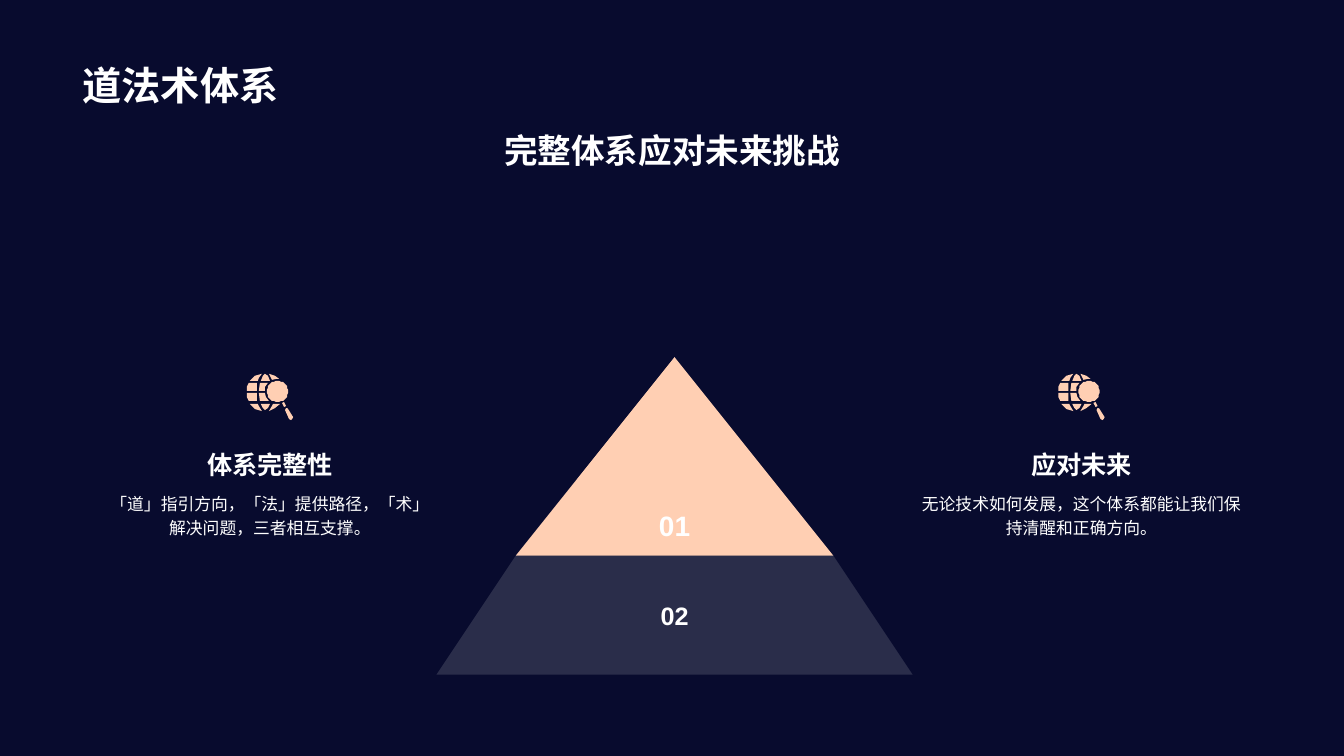
import math

from pptx import Presentation
from pptx import util as u
from pptx.dml.color import RGBColor
from pptx.enum import text as t
from pptx.oxml.ns import qn
from lxml import etree

NAVY = RGBColor(0x08, 0x0B, 0x2E)
PEACH = RGBColor(0xFF, 0xCF, 0xB3)
MIST = RGBColor(0xF0, 0xF0, 0xF0)
WHITE = RGBColor(0xFF, 0xFF, 0xFF)
FONT = "Arial"

UNIT = u.Cm(0.0254)  # grid step of the globe icon
LENS = [(30.5 + 10.5 * math.cos(math.radians(a)),
         17.5 + 10.5 * math.sin(math.radians(a))) for a in range(0, 360, 10)]
GLOBE = [
    [(18.5, 0), (21, 2), (23, 7), (14, 7), (16, 2)],
    [(22, 0), (28, 2), (32, 5), (30, 5), (25, 6), (24.5, 4)],
    [(15, 0), (12, 4), (11, 7), (3, 7), (8, 2.5)],
    [(13, 9), (21, 9), (18.5, 13), (18, 17), (12, 17)],
    [(2, 9), (10, 9), (10, 17), (0, 17), (0.5, 13)],
    [(12, 19), (18, 19), (19, 23), (22, 27), (13, 27)],
    [(0, 19), (10, 19), (10.5, 27), (2, 27), (0.5, 23)],
    [(26, 30), (33, 30), (28, 34.5), (22, 37), (25, 32)],
    [(14, 30), (23, 30), (21, 34.5), (18.5, 36.5), (16, 34.5)],
    [(3, 30), (11, 30), (12, 32), (15, 37), (8, 35)],
]
COLLAR = [(37, 28), (39, 32), (37, 33), (35, 29)]
GRIP = [(39, 34), (40, 34), (41, 35), (45.5, 43), (45, 45), (44, 45.5),
        (42, 45), (38, 36)]
ICON = GLOBE + [LENS, COLLAR, GRIP]

CARDS = [
    (2.36, "体系完整性", "「道」指引方向，「法」提供路径，「术」解决问题，三者相互支撑。"),
    (22.81, "应对未来", "无论技术如何发展，这个体系都能让我们保持清醒和正确方向。"),
]


def write(shape, words, size=18, bold=True, align=t.PP_ALIGN.CENTER,
          anchor=t.MSO_ANCHOR.TOP, space=1.0, foot=0.13):
    """Fill a shape with one formatted paragraph; foot is the bottom inset in cm."""
    frame = shape.text_frame
    frame.word_wrap = True
    frame.auto_size = t.MSO_AUTO_SIZE.NONE
    frame.vertical_anchor = anchor
    frame.margin_bottom = u.Cm(foot)
    para = frame.paragraphs[0]
    para.alignment = align
    para.line_spacing = space
    run = para.add_run()
    run.text = words
    font = run.font
    font.name, font.size, font.bold = FONT, u.Pt(size), bold
    font.color.rgb = WHITE


class Deck:
    def __init__(self):
        self.prs = Presentation()
        self.prs.slide_width, self.prs.slide_height = u.Cm(33.87), u.Cm(19.05)
        self.slide = self.prs.slides.add_slide(self.prs.slide_layouts[5])
        fill = self.slide.background.fill
        fill.solid()
        fill.fore_color.rgb = NAVY

    def title(self, words, x, y, w, h, **style):
        box = self.slide.shapes.title
        box.left, box.top, box.width, box.height = map(u.Cm, (x, y, w, h))
        write(box, words, **style)

    def label(self, words, x, y, w, h, **style):
        box = self.slide.shapes.add_textbox(*map(u.Cm, (x, y, w, h)))
        write(box, words, **style)

    def outline(self, rings, color, x=0, y=0, scale=u.Cm(1), alpha=None):
        """Draw closed rings as one shape; alpha is the opacity in percent."""
        pen = self.slide.shapes.build_freeform(*rings[0][0], scale=scale)
        for i, ring in enumerate(rings):
            if i:
                pen.move_to(*ring[0])
            pen.add_line_segments(ring[1:], close=True)
        shape = pen.convert_to_shape(u.Cm(x), u.Cm(y))
        shape.shadow.inherit = False
        shape.line.fill.background()
        shape.fill.solid()
        shape.fill.fore_color.rgb = color
        if alpha is not None:
            tone = shape.fill._xPr.find(".//" + qn("a:srgbClr"))
            etree.SubElement(tone, qn("a:alpha"), val=str(alpha * 1000))
        return shape

    def card(self, x, head, body):
        wide = 8.89
        self.outline(ICON, PEACH, x + 3.86, 9.42, UNIT)
        self.label(head, x, 10.9, wide, 1.32, anchor=t.MSO_ANCHOR.BOTTOM)
        self.label(body, x, 12.22, wide, 3.71, size=12, bold=False, space=1.2)


def main():
    deck = Deck()
    deck.title("道法术体系", 1.83, 0.36, 30.18, 2.49, size=28,
               align=t.PP_ALIGN.LEFT, anchor=t.MSO_ANCHOR.BOTTOM)
    deck.label("完整体系应对未来挑战", 1.88, 3.15, 30.12, 3.71, size=24)
    peak = deck.outline([[(20.55, 14.12), (16.93, 8.79), (13.32, 14.12)]], PEACH)
    write(peak, "01", size=20, anchor=t.MSO_ANCHOR.BOTTOM, foot=0.33)
    base = deck.outline([[(13.36, 14.34), (20.62, 14.29), (22.58, 16.94),
                          (11.29, 16.94)]], MIST, alpha=15)
    write(base, "02", anchor=t.MSO_ANCHOR.MIDDLE)
    for card in CARDS:
        deck.card(*card)
    deck.prs.save("out.pptx")


if __name__ == "__main__":
    main()
